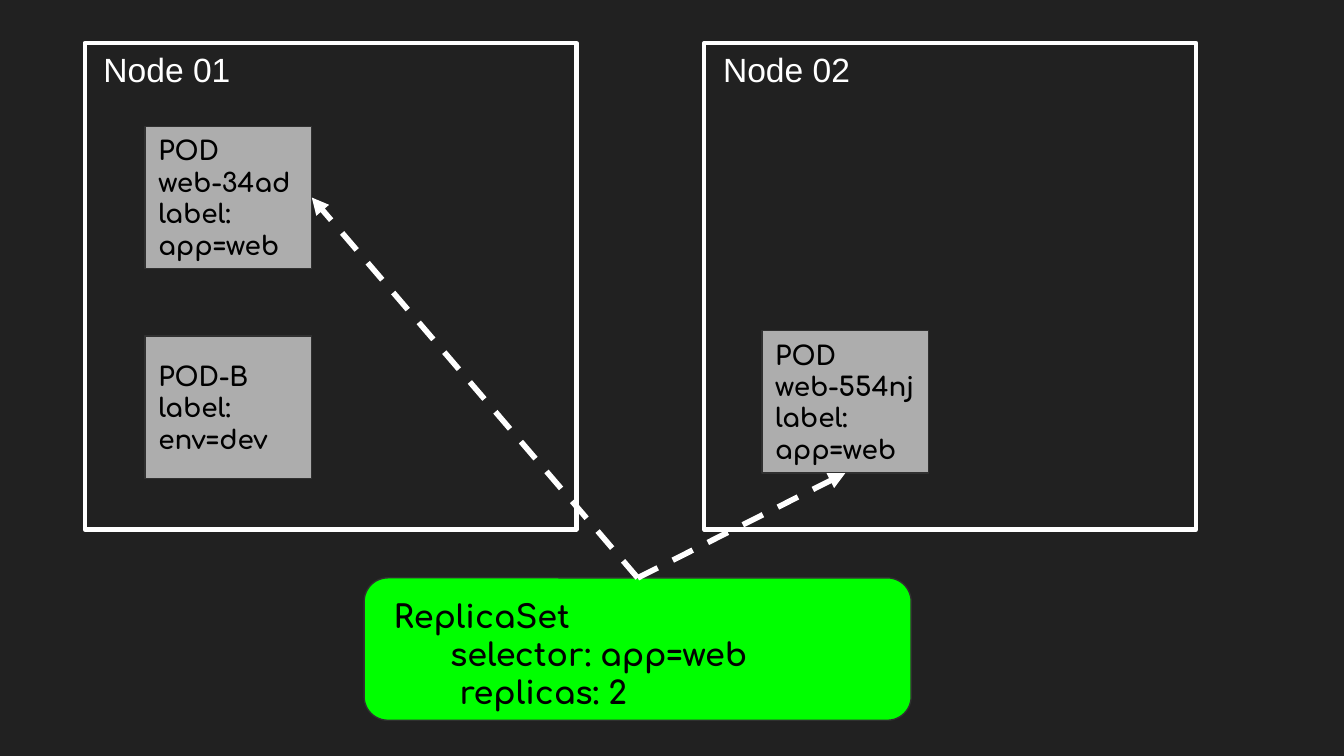
from dataclasses import dataclass

from lxml import etree
from pptx import Presentation
from pptx.dml.color import RGBColor
from pptx.enum import dml, shapes, text
from pptx.oxml.ns import qn
from pptx.util import Inches, Pt

COLOURS = {
    "background": "212121",
    "white": "FFFFFF",
    "pod": "ADADAD",
    "outline": "303030",
    "replica_set": "00FF00",
    "black": "000000",
}
PAGE_WIDTH = 10
PAGE_HEIGHT = PAGE_WIDTH * 9 / 16
NODE_TOP, NODE_WIDTH, NODE_HEIGHT = 0.32, 3.66, 3.62
POD_WIDTH, POD_HEIGHT = 1.24, 1.06
SET_LEFT, SET_TOP, SET_WIDTH, SET_HEIGHT = 2.71, 4.3, 4.07, 1.06
SET_LINES = {"ReplicaSet": 0.07, "selector: app=web": 0.49, "replicas: 2": 0.56}


@dataclass
class Node:
    name: str
    left: float


@dataclass
class Pod:
    lines: list[str]
    left: float
    top: float


NODES = [Node("Node 01", 0.63), Node("Node 02", 5.24)]
WEB_A = Pod(["POD web-34ad", "label:", "app=web"], 1.08, 0.94)
POD_B = Pod(["POD-B", "label:", "env=dev"], 1.08, 2.5)
WEB_B = Pod(["POD", "web-554nj", "label:", "app=web"], 5.67, 2.46)


def colour(name: str) -> RGBColor:
    return RGBColor.from_string(COLOURS[name])


def add_box(page, kind, left: float, top: float, width: float, height: float,
            fill: str | None, line: str, weight: float):
    box = page.shapes.add_shape(kind, Inches(left), Inches(top), Inches(width), Inches(height))
    box.shadow.inherit = False
    if fill:
        box.fill.solid()
        box.fill.fore_color.rgb = colour(fill)
    else:
        box.fill.background()
    box.line.color.rgb = colour(line)
    box.line.width = Pt(weight)
    return box


def write(box, lines: list[str], size: float, font: str, ink: str, bold: bool,
          anchor, insets: tuple[float, float, float, float]) -> None:
    frame = box.text_frame
    frame.word_wrap = True
    frame.vertical_anchor = anchor
    frame.margin_left, frame.margin_top, frame.margin_right, frame.margin_bottom = map(Inches, insets)
    frame.text = "\n".join(lines)
    for para in frame.paragraphs:
        para.alignment = text.PP_ALIGN.LEFT
        for span in para.runs:
            span.font.size = Pt(size)
            span.font.name = font
            span.font.bold = bold
            span.font.color.rgb = colour(ink)


def add_node(page, node: Node) -> None:
    box = add_box(page, shapes.MSO_SHAPE.RECTANGLE, node.left, NODE_TOP,
                  NODE_WIDTH, NODE_HEIGHT, None, "white", 2.25)
    write(box, [node.name], 18, "Arial", "white", False, text.MSO_ANCHOR.TOP, (0.14, 0, 0, 0))
    box.text_frame.paragraphs[0].line_spacing = 1.15


def add_pod(page, pod: Pod) -> None:
    box = add_box(page, shapes.MSO_SHAPE.RECTANGLE, pod.left, pod.top,
                  POD_WIDTH, POD_HEIGHT, "pod", "outline", 0.75)
    write(box, pod.lines, 14, "Comfortaa", "black", True, text.MSO_ANCHOR.MIDDLE, (0.1,) * 4)


def add_replica_set(page) -> None:
    box = add_box(page, shapes.MSO_SHAPE.ROUNDED_RECTANGLE, SET_LEFT, SET_TOP,
                  SET_WIDTH, SET_HEIGHT, "replica_set", "outline", 0.75)
    write(box, list(SET_LINES), 17, "Comfortaa", "black", True,
          text.MSO_ANCHOR.MIDDLE, (0.1, 0.07, 0.1, 0))
    for para, indent in zip(box.text_frame.paragraphs, SET_LINES.values()):
        para._p.get_or_add_pPr().set("marL", str(Inches(indent)))


def add_arrow(page, end_x: float, end_y: float) -> None:
    arrow = page.shapes.add_connector(
        shapes.MSO_CONNECTOR.STRAIGHT, Inches(SET_LEFT + SET_WIDTH / 2), Inches(SET_TOP),
        Inches(end_x), Inches(end_y))
    arrow.line.color.rgb = colour("white")
    arrow.line.width = Pt(3)
    arrow.line.dash_style = dml.MSO_LINE.DASH
    etree.SubElement(arrow.line._get_or_add_ln(), qn("a:tailEnd"), type="triangle")
    etree.SubElement(arrow._element.spPr, qn("a:effectLst"))


def main() -> None:
    deck = Presentation()
    deck.slide_width, deck.slide_height = Inches(PAGE_WIDTH), Inches(PAGE_HEIGHT)
    page = deck.slides.add_slide(deck.slide_layouts[6])
    page.background.fill.solid()
    page.background.fill.fore_color.rgb = colour("background")

    for node in NODES:
        add_node(page, node)
    for pod in (WEB_A, POD_B, WEB_B):
        add_pod(page, pod)
    add_replica_set(page)
    add_arrow(page, WEB_A.left + POD_WIDTH, WEB_A.top + POD_HEIGHT / 2)
    add_arrow(page, WEB_B.left + POD_WIDTH / 2, WEB_B.top + POD_HEIGHT)
    deck.save("out.pptx")


if __name__ == "__main__":
    main()
